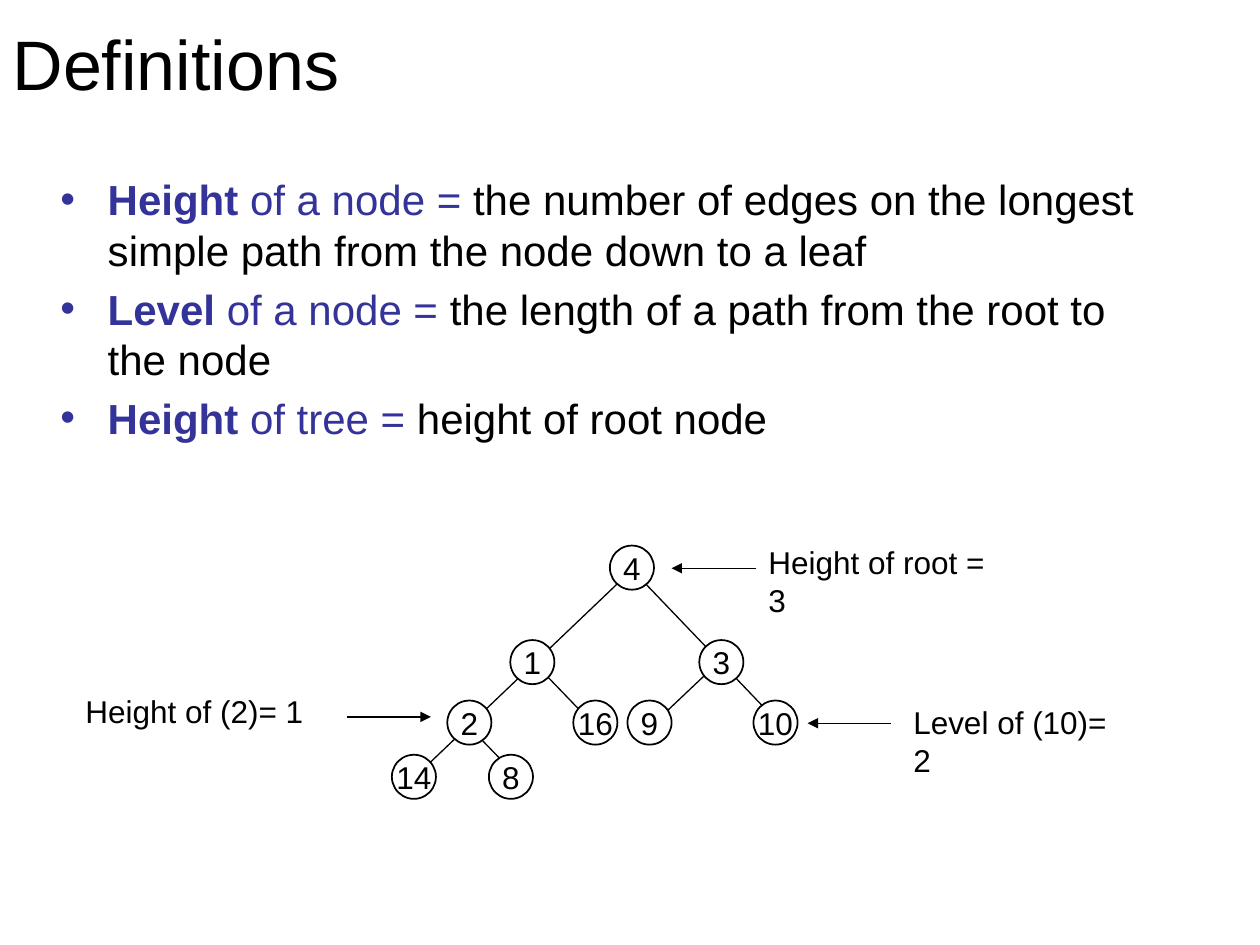
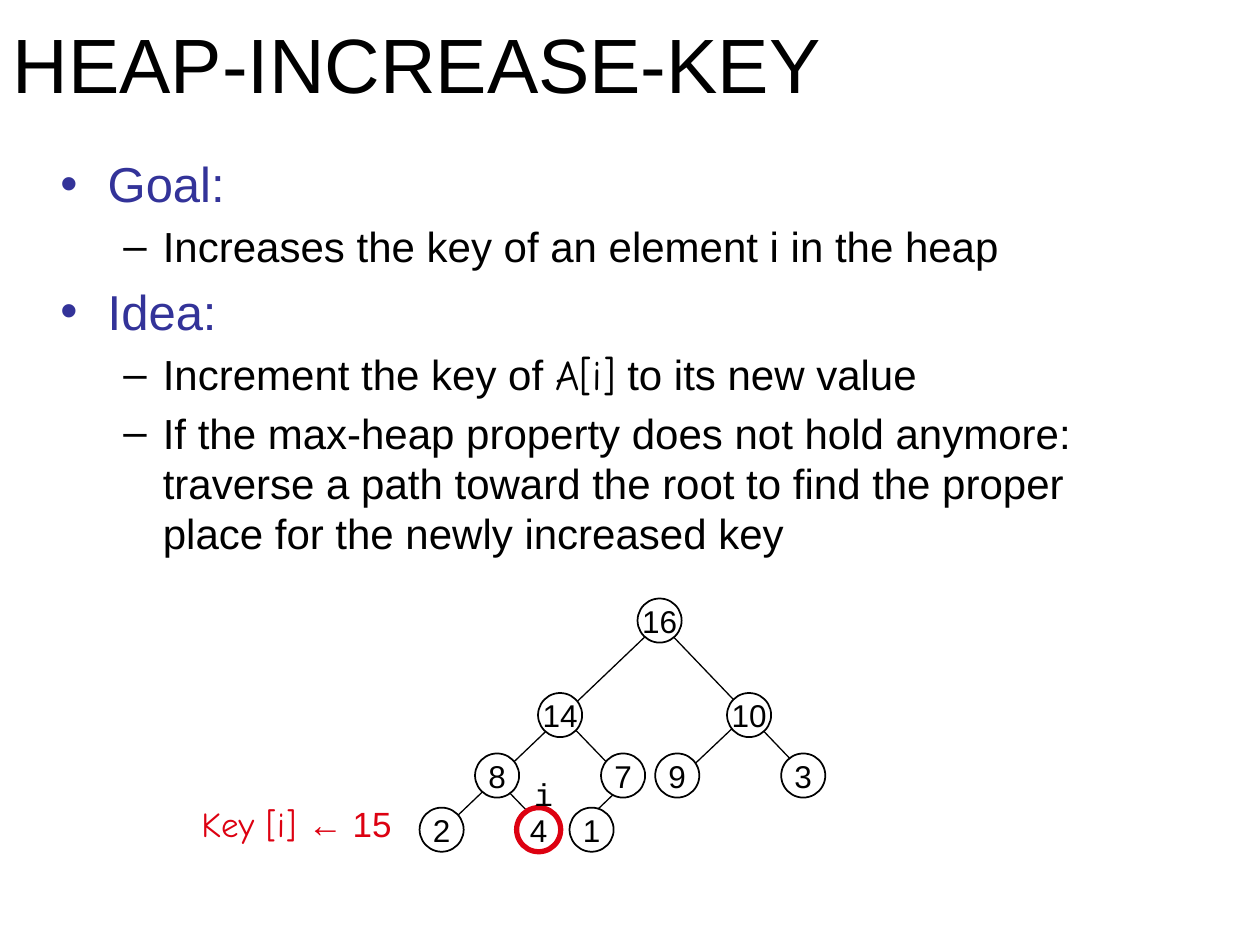
import pptx
import pptx.dml.color
import pptx.enum.shapes
import pptx.enum.text
import pptx.oxml
import pptx.util
from pptx.util import Inches

BLACK, WHITE, BLUE, RED = "000000", "FFFFFF", "333399", "DD0111"
SANS, HAND, MONO = "Arial", "Comic Neue", "Courier New"
DRAWING = 'xmlns:a="http://schemas.openxmlformats.org/drawingml/2006/main"'
NODE_SIZE = 0.35
colour = pptx.dml.color.RGBColor.from_string


def write(paragraph, text, size=18, font=SANS, color=BLACK, bold=False):
    run = paragraph.add_run()
    run.text = text
    run.font.size = pptx.util.Pt(size)
    run.font.name = font
    run.font.bold = bold
    run.font.color.rgb = colour(color)


def draw_line(shapes, start, end, arrow=False):
    line = shapes.add_connector(
        pptx.enum.shapes.MSO_CONNECTOR.STRAIGHT, *map(Inches, (*start, *end)))
    line.line.color.rgb = colour(BLACK)
    line.line.width = pptx.util.Pt(0.75)
    if arrow:
        line.line._get_or_add_ln().append(
            pptx.oxml.parse_xml(f'<a:tailEnd {DRAWING} type="triangle"/>'))
    line._element.spPr.append(pptx.oxml.parse_xml(f"<a:effectLst {DRAWING}/>"))


# Offsets from the left top corner of the root node, level by level
NODE_OFFSETS = [
    (0, 0),
    (-0.79, 0.75), (0.71, 0.75),
    (-1.29, 1.23), (-0.29, 1.23), (0.14, 1.23), (1.14, 1.23),
    (-1.73, 1.66), (-0.96, 1.66), (-0.54, 1.66),
]
# Lines run on behind the nodes; the last one leads to the tenth node
EDGES = [
    ((0.32, 1.44), (0.88, 0.91)),
    ((-0.69, 1.88), (-1.23, 1.32)),
    ((-0.10, 1.45), (-0.64, 0.89)),
    ((1.41, 1.48), (0.07, 0.08)),
    ((-1.54, 1.83), (0.21, 0.16)),
    ((-0.49, 1.84), (-0.04, 1.41)),
]

term = {"size": 24, "color": BLUE}
key_term = {**term, "bold": True}
heading = {"size": 28, "color": BLUE}
plain = {"size": 24}

SLIDES = [
    {
        "title": "Definitions", "title_size": 40, "body_top": 1.33,
        "body": [
            (0, [("Height ", key_term), ("of a node = ", term),
                 ("the number of edges on the longest simple path "
                  "from the node down to a leaf", plain)]),
            (0, [("Level", key_term), (" of a node = ", term),
                 ("the length of a path from the root to the node", plain)]),
            (0, [("Height ", key_term), ("of tree = ", term),
                 ("height of root node", plain)]),
        ],
        "root": (4.84, 4.33), "keys": [4, 1, 3, 2, 16, 9, 10, 14, 8],
        "changed_key": None,
        "labels": [
            (6, 4.26, 2.12, 0.4, [("Height of root = 3", {})]),
            (0.58, 5.44, 1.93, 0.4, [("Height of (2)= 1", {})]),
            (7.15, 5.53, 1.94, 0.4, [("Level of (10)= 2", {})]),
        ],
        "arrows": [((6, 4.51), (5.33, 4.51)), ((2.75, 5.69), (3.42, 5.69)),
                   ((7.07, 5.74), (6.41, 5.74))],
    },
    {
        "title": "HEAP-INCREASE-KEY", "title_size": 44, "body_top": 1.17,
        "body": [
            (0, [("Goal:", heading)]),
            (1, [("Increases the key of an element i in the heap", plain)]),
            (0, [("Idea:", heading)]),
            (1, [("Increment the key of ", plain),
                 ("A[i]", {"size": 24, "font": HAND}),
                 (" to its new value", plain)]),
            (1, [("If the max-heap property does not hold anymore: traverse a path "
                  "toward the root to find the proper place for the newly "
                  "increased key", plain)]),
        ],
        "root": (5.06, 4.75), "keys": [16, 14, 10, 8, 7, 9, 3, 2, 4, 1],
        "changed_key": 4,
        "labels": [
            (4.14, 6.1, 0.26, 0.4, [("i", {"font": MONO})]),
            (1.5, 6.32, 1.78, 0.43,
             [("Key [i] ", {"size": 20, "font": HAND, "color": RED}),
              ("← 15", {"size": 20, "color": RED})]),
        ],
        "arrows": [],
    },
]

presentation = pptx.Presentation()
presentation.slide_width = Inches(10)
presentation.slide_height = Inches(7.5)

for content in SLIDES:
    slide = presentation.slides.add_slide(presentation.slide_layouts[1])
    title, body = slide.placeholders
    for placeholder, top, height, anchor in (
            (title, 0, 0.99, pptx.enum.text.MSO_ANCHOR.MIDDLE),
            (body, content["body_top"], 5.55, pptx.enum.text.MSO_ANCHOR.TOP)):
        placeholder.left = Inches(0 if placeholder is title else 0.38)
        placeholder.top = Inches(top)
        placeholder.width, placeholder.height = Inches(9), Inches(height)
        placeholder.text_frame.vertical_anchor = anchor
        placeholder.text_frame.auto_size = pptx.enum.text.MSO_AUTO_SIZE.NONE

    paragraph = title.text_frame.paragraphs[0]
    paragraph.alignment = pptx.enum.text.PP_ALIGN.LEFT
    write(paragraph, content["title"], size=content["title_size"])

    for index, (level, runs) in enumerate(content["body"]):
        frame = body.text_frame
        paragraph = frame.add_paragraph() if index else frame.paragraphs[0]
        paragraph.level = level
        if index == 0:
            paragraph.space_before = pptx.util.Pt(0)
        for text, style in runs:
            write(paragraph, text, **style)

    tree = slide.shapes.add_group_shape().shapes
    root_left, root_top = content["root"]
    # A tree of n nodes needs the first n - 4 lines, as some span two levels
    for edge in EDGES[:len(content["keys"]) - 4]:
        start, end = [(root_left + x, root_top + y) for x, y in edge]
        draw_line(tree, start, end)

    for key, (x, y) in zip(content["keys"], NODE_OFFSETS):
        changed = key == content["changed_key"]
        node = tree.add_shape(
            pptx.enum.shapes.MSO_SHAPE.OVAL, Inches(root_left + x),
            Inches(root_top + y), Inches(NODE_SIZE), Inches(NODE_SIZE))
        node.shadow.inherit = False
        node.fill.solid()
        node.fill.fore_color.rgb = colour(WHITE)
        node.line.color.rgb = colour(RED if changed else BLACK)
        node.line.width = pptx.util.Pt(3 if changed else 1)
        node.text_frame.word_wrap = False
        node.text_frame.vertical_anchor = pptx.enum.text.MSO_ANCHOR.MIDDLE
        paragraph = node.text_frame.paragraphs[0]
        paragraph.alignment = pptx.enum.text.PP_ALIGN.CENTER
        write(paragraph, str(key))

    for *box, runs in content["labels"]:
        label = slide.shapes.add_textbox(*map(Inches, box))
        label.text_frame.word_wrap = False
        label.text_frame.auto_size = pptx.enum.text.MSO_AUTO_SIZE.SHAPE_TO_FIT_TEXT
        for text, style in runs:
            write(label.text_frame.paragraphs[0], text, **style)

    for start, end in content["arrows"]:
        draw_line(slide.shapes, start, end, arrow=True)

presentation.save("out.pptx")
